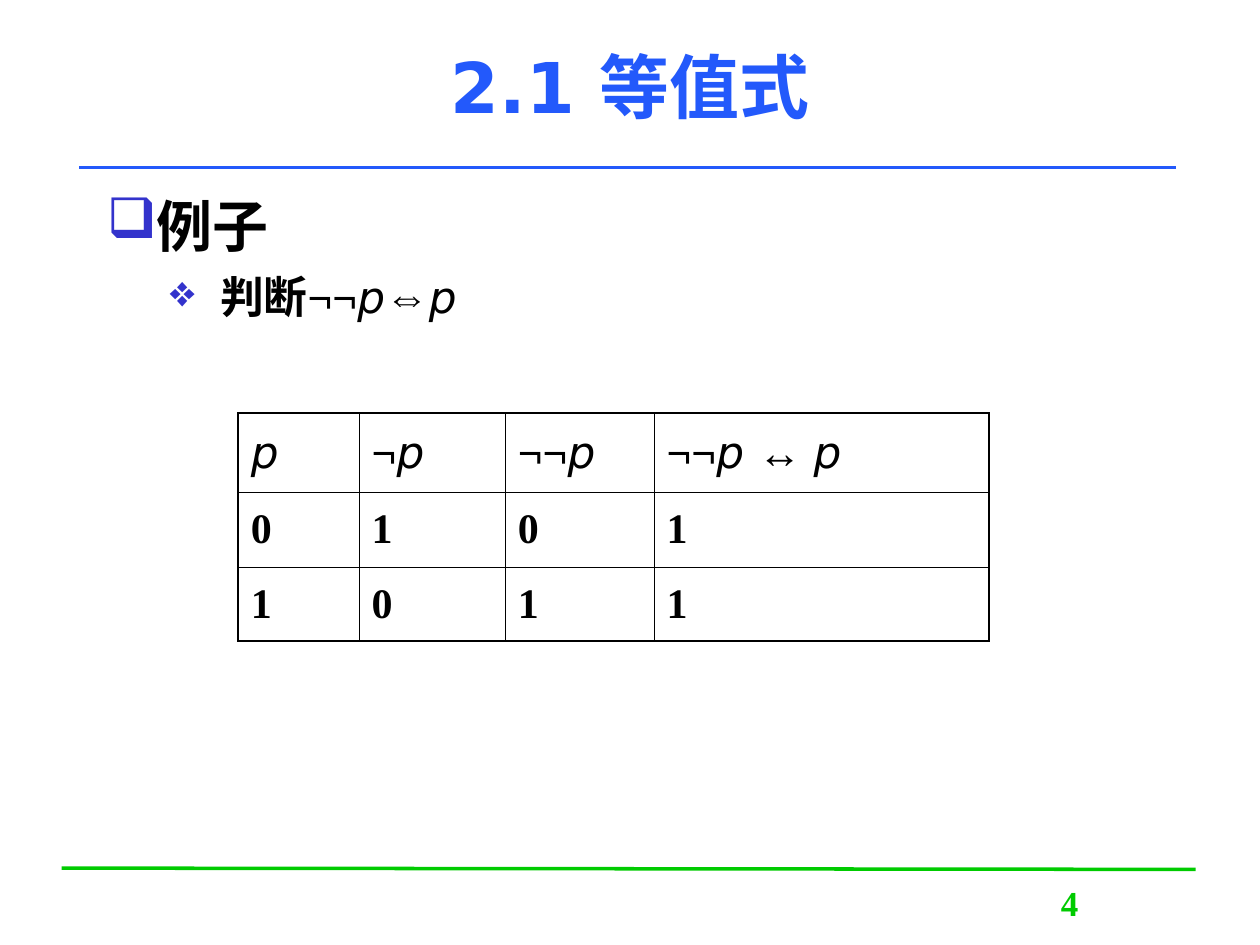
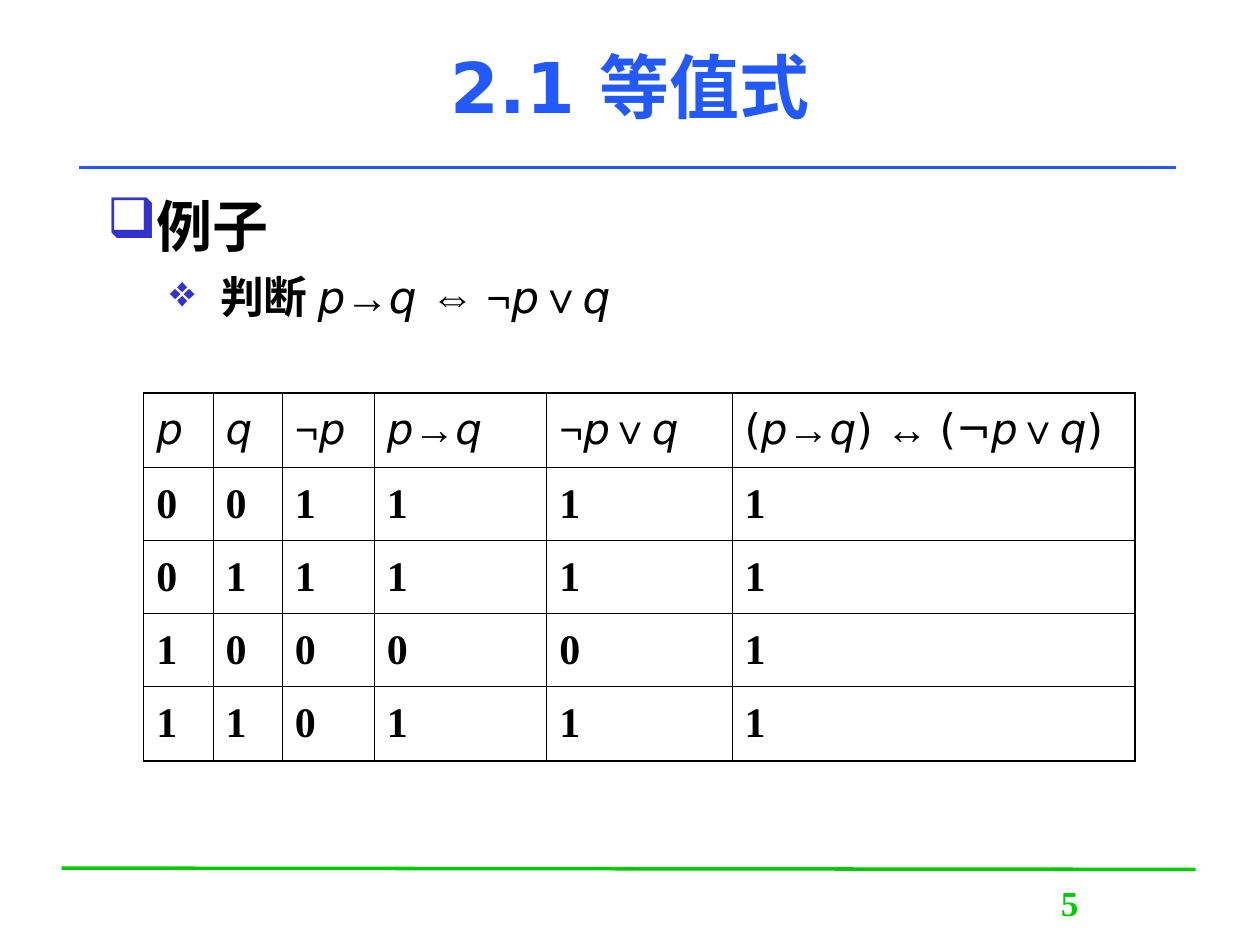
from lxml import etree
from pptx import Presentation, util as u
from pptx.dml.color import RGBColor
from pptx.enum import shapes, text
from pptx.oxml import ns

HUES = {"ink": "000000", "blue": "2359FB", "green": "00CB00", "mark": "3333CC"}

# Each kind of symbol: font, bold, italic
FACES = {
    "plain": ("Times New Roman", True, False),
    "head": ("DejaVu Sans", True, False),
    "var": ("DejaVu Sans", False, True),
    "paren": ("DejaVu Sans", False, False),
    "sign": ("Arial", True, False),
}
KINDS = {"p": "var", "q": "var", "(": "paren", ")": "paren",
         "→": "sign", "↔": "sign", "⇔": "sign", "∨": "sign"}


def cut(words):
    """Cut a formula into [kind, text] runs; a space stays with its left side."""
    runs = []
    for sym in words:
        kind = KINDS.get(sym, "plain")
        if runs:
            last = runs[-1]
            joins = sym == " " or last[1][-1] + sym == "(¬"
            if joins or kind == last[0]:
                last[1] += sym
                continue
        runs.append([kind, sym])
    return runs


def node(parent, tag, **attrs):
    return etree.SubElement(parent, ns.qn(tag), attrs)


class Deck:
    def __init__(self):
        self.prs = Presentation()
        self.prs.slide_width, self.prs.slide_height = u.Inches(10), u.Inches(7.5)
        self.slide = None

    def start(self, title, num):
        """Add a slide with its rules, page number and title."""
        self.slide = self.prs.slides.add_slide(self.prs.slide_layouts[6])
        self.line((0.49, 6.89), (9.49, 6.9), "green")
        self.line((0.63, 1.33), (9.33, 1.33), "blue")
        page = self.box(7.7, 6.95, 1.58, 0.5).paragraphs[0]
        self.fill(page, str(num), 20, "green", gap=12.5)
        page.alignment = text.PP_ALIGN.CENTER
        frame = self.box(0.75, 0.05, 8.5, 1.25)
        frame.vertical_anchor = text.MSO_ANCHOR.MIDDLE
        head = frame.paragraphs[0]
        self.fill(head, title, 40, "blue", face="head")
        head.alignment = text.PP_ALIGN.CENTER

    def line(self, start, end, hue):
        rule = self.slide.shapes.add_connector(
            shapes.MSO_CONNECTOR.STRAIGHT, *map(u.Inches, start + end))
        rule.line.width = u.Pt(2)
        rule.line.color.rgb = RGBColor.from_string(HUES[hue])
        node(rule._element.spPr, "a:effectLst")

    def box(self, *place):
        frame = self.slide.shapes.add_textbox(*map(u.Inches, place)).text_frame
        frame.word_wrap = True
        return frame

    def style(self, font, face):
        font.name, font.bold, font.italic = FACES[face]

    def fill(self, para, words, size, hue="ink", gap=0, face=None):
        """Put words into a paragraph, each symbol in its own face."""
        para.space_before = u.Pt(gap)
        para.font.size = u.Pt(size)
        para.font.color.rgb = RGBColor.from_string(HUES[hue])
        runs = [[face, words]] if face else cut(words)
        if len(runs) == 1:
            self.style(para.font, runs[0][0])
        for kind, part in runs:
            run = para.add_run()
            run.text = part
            if len(runs) > 1:
                self.style(run.font, kind)

    def bullet(self, para, sign, left, hang):
        props = para._p.get_or_add_pPr()
        props.set("marL", str(u.Inches(left)))
        props.set("indent", str(-u.Inches(hang)))
        color = etree.Element(ns.qn("a:buClr"))
        node(color, "a:srgbClr", val=HUES["mark"])
        char = etree.Element(ns.qn("a:buChar"), char=sign)
        # Bullets belong between the spacing and the default font
        font = props.find(ns.qn("a:defRPr"))
        font.addprevious(color)
        font.addprevious(char)

    def body(self, topic, task):
        frame = self.box(0.75, 1.47, 8.5, 5.35)
        first, second = frame.paragraphs[0], frame.add_paragraph()
        self.fill(first, topic, 32, gap=8)
        self.bullet(first, "❑", 0.38, 0.38)
        second.level = 1
        self.fill(second, task, 25, gap=6.2)
        self.bullet(second, "❖", 0.9, 0.4)

    def border(self, cell, edges):
        """Draw thick lines on outer edges and thin lines inside."""
        props = cell._tc.get_or_add_tcPr()
        for side, outer in edges.items():
            width = u.Pt(1.08 if outer else 0.45)
            line = node(props, "a:ln" + side, w=str(width))
            node(node(line, "a:solidFill"), "a:srgbClr", val=HUES["ink"])

    def table(self, left, top, widths, heights, rows, size):
        place = (left, top, sum(widths), sum(heights))
        grid = self.slide.shapes.add_table(
            len(rows), len(widths), *map(u.Inches, place)).table
        grid.first_row = grid.horz_banding = False
        for col, width in zip(grid.columns, widths):
            col.width = u.Inches(width)
        for r, (row, height) in enumerate(zip(rows, heights)):
            grid.rows[r].height = u.Inches(height)
            for c, words in enumerate(row):
                cell = grid.cell(r, c)
                self.border(cell, {"L": c == 0, "R": c == len(row) - 1,
                                   "T": r == 0, "B": r == len(rows) - 1})
                cell.fill.background()
                cell.vertical_anchor = text.MSO_ANCHOR.MIDDLE
                self.fill(cell.text_frame.paragraphs[0], words,
                          24 if r else size, gap=6)


def main():
    deck = Deck()
    title, topic = "2.1 等值式", "例子"

    # Double negation
    deck.start(title, 4)
    deck.table(1.89, 3.28, [0.96, 1.16, 1.18, 2.66], [0.63, 0.59, 0.59],
               [["p", "¬p", "¬¬p", "¬¬p ↔ p"], "0101", "1011"], 25)
    deck.body(topic, "判断¬¬p⇔p")

    # Implication as disjunction
    deck.start(title, 5)
    deck.table(1.14, 3.12, [0.55, 0.55, 0.73, 1.37, 1.47, 3.2],
               [0.59, 0.58, 0.58, 0.58, 0.59],
               [["p", "q", "¬p", "p→q", "¬p∨q", "(p→q) ↔ (¬p∨q)"],
                "001111", "011111", "100001", "110111"], 24)
    deck.body(topic, "判断 p→q ⇔ ¬p∨q")

    deck.prs.save("out.pptx")


if __name__ == "__main__":
    main()
